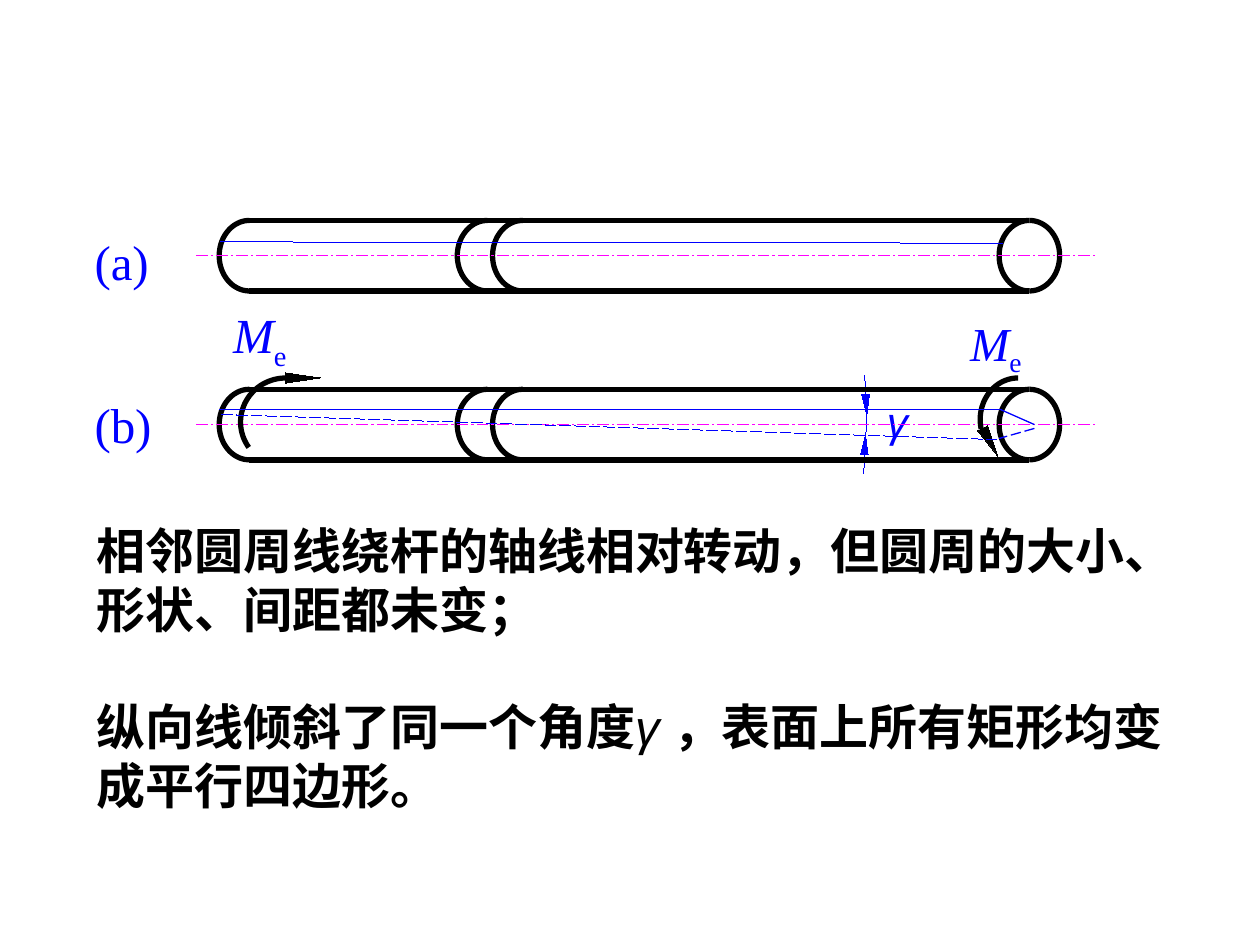
import math
from dataclasses import dataclass

import pptx
import pptx.dml.color
import pptx.enum.dml
import pptx.enum.shapes
import pptx.enum.text
import pptx.oxml
import pptx.oxml.ns
import pptx.util
from pptx.util import Inches


@dataclass(frozen=True)
class Theme:
    ink: str = "000000"
    blue: str = "0000FF"
    axis: str = "FF00FF"
    chinese: str = "Noto Sans CJK SC"
    greek: str = "Arial"
    latin: str = "Times New Roman"
    text_size: float = 28
    right_moment_size: float = 27
    angle_size: float = 24
    line_pitch: float = 33.65
    outline: float = 3
    thin: float = 0.75
    hairline: float = 0


THEME = Theme()
DASH = pptx.enum.dml.MSO_LINE.LONG_DASH
DASH_DOT = pptx.enum.dml.MSO_LINE.LONG_DASH_DOT

# Bar geometry, in inches
BAR_LEFT, BAR_RIGHT = 1.98, 8.17
RINGS = (BAR_LEFT, 3.87, 4.15, BAR_RIGHT)
RADIUS_X, RADIUS_Y = 0.24, 0.28


def rgb(color):
    return pptx.dml.color.RGBColor.from_string(color)


def style_line(shape, color, width, dash=None):
    # Without the theme style, a zero width stays a hairline
    shape._element.remove(shape._element.find(pptx.oxml.ns.qn("p:style")))
    shape.line.color.rgb = rgb(color)
    shape.line.width = pptx.util.Pt(width)
    if dash is not None:
        shape.line.dash_style = dash


def add_line(slide, start, end, color, width, dash=None):
    ends = [Inches(value) for value in (*start, *end)]
    segment = slide.shapes.add_connector(
        pptx.enum.shapes.MSO_CONNECTOR.STRAIGHT, *ends)
    style_line(segment, color, width, dash)
    segment._element.spPr.append(pptx.oxml.parse_xml(
        f"<a:effectLst {pptx.oxml.ns.nsdecls('a')}/>"))


def add_outline(slide, points, color, width, filled=False):
    first, *rest = [(Inches(x), Inches(y)) for x, y in points]
    builder = slide.shapes.build_freeform(*first, scale=1.0)
    builder.add_line_segments(rest, close=filled)
    outline = builder.convert_to_shape()
    outline.shadow.inherit = False
    if filled:
        outline.fill.solid()
        outline.fill.fore_color.rgb = rgb(color)
    else:
        outline.fill.background()
    style_line(outline, color, width)


def add_arc(slide, center, radii, start, end, steps=40):
    """Draw an elliptical arc; degrees run counter-clockwise from the right."""
    angles = [math.radians(start + (end - start) * i / steps)
              for i in range(steps + 1)]
    points = [(center[0] + radii[0] * math.cos(angle),
               center[1] - radii[1] * math.sin(angle)) for angle in angles]
    add_outline(slide, points, THEME.ink, THEME.outline)


def set_font(font, name, size, color):
    font.name = name
    font.size = pptx.util.Pt(size)
    font.color.rgb = rgb(color)


def add_text_frame(slide, left, top, width, height, margin=0, wrap=False):
    box = slide.shapes.add_textbox(*map(Inches, (left, top, width, height)))
    frame = box.text_frame
    frame.word_wrap = wrap
    frame.auto_size = pptx.enum.text.MSO_AUTO_SIZE.SHAPE_TO_FIT_TEXT
    frame.margin_left = frame.margin_right = Inches(margin)
    frame.margin_top = frame.margin_bottom = Inches(margin / 2)
    return box, frame


def add_label(slide, text, top):
    _, frame = add_text_frame(slide, 0.75, top, 0.48, 0.47)
    label = frame.paragraphs[0]
    label.add_run().text = text
    set_font(label.font, THEME.latin, THEME.text_size, THEME.blue)


def add_moment(slide, left, top, width, height, size):
    _, frame = add_text_frame(slide, left, top, width, height)
    moment = frame.paragraphs[0]
    symbol, subscript = moment.add_run(), moment.add_run()
    symbol.text, subscript.text = "M", "e"
    symbol.font.italic = True
    subscript._r.get_or_add_rPr().set("baseline", "-25000")
    set_font(moment.font, THEME.latin, size, THEME.blue)


def add_bar(slide, top):
    middle, bottom = top + RADIUS_Y, top + 2 * RADIUS_Y
    for ring in RINGS:
        add_arc(slide, (ring, middle), (RADIUS_X, RADIUS_Y), 90, 270)
    add_arc(slide, (BAR_RIGHT, middle), (RADIUS_X, RADIUS_Y), -90, 90)
    for edge in (top, bottom):
        add_line(slide, (BAR_LEFT, edge), (BAR_RIGHT, edge),
                 THEME.ink, THEME.outline)
    add_line(slide, (1.56, middle), (8.7, middle),
             THEME.axis, THEME.hairline, DASH_DOT)


def add_conclusions(slide):
    _, frame = add_text_frame(slide, 0.67, 4.08, 9, 2.44, 0.1, wrap=True)
    conclusions = (
        ("相邻圆周线绕杆的轴线相对转动，但圆周的大小、形状、间距都未变；",),
        ("纵向线倾斜了同一个角度", "γ ", "，表面上所有矩形均变成平行四边形。"),
    )
    for index, parts in enumerate(conclusions):
        conclusion = frame.paragraphs[0] if index == 0 else frame.add_paragraph()
        conclusion.line_spacing = pptx.util.Pt(THEME.line_pitch)
        if index:
            conclusion.space_before = pptx.util.Pt(THEME.line_pitch)
        for part in parts:
            run = conclusion.add_run()
            run.text = part
            if part.startswith("γ"):
                run.font.name = THEME.greek
                run.font.bold, run.font.italic = False, True
        set_font(conclusion.font, THEME.chinese, THEME.text_size, THEME.ink)
        conclusion.font.bold = True
        # East Asian glyphs take their own typeface
        defaults = conclusion._p.pPr.find(pptx.oxml.ns.qn("a:defRPr"))
        defaults.append(pptx.oxml.parse_xml(
            f'<a:ea {pptx.oxml.ns.nsdecls("a")} typeface="{THEME.chinese}"/>'))


def add_angle_mark(slide):
    stems = (
        ((6.85, 3.76), (6.86, 3.69), (6.86, 3.61)),
        ((6.87, 3.13), (6.87, 3.05), (6.86, 2.98)),
        ((6.87, 3.45), (6.88, 3.37), (6.88, 3.29)),
    )
    heads = (
        ((6.83, 3.61), (6.89, 3.61), (6.87, 3.45)),
        ((6.9, 3.13), (6.84, 3.13), (6.88, 3.29)),
    )
    for stem in stems:
        add_outline(slide, stem, THEME.blue, THEME.hairline)
    for head in heads:
        add_outline(slide, head, THEME.blue, THEME.hairline, filled=True)
    box, frame = add_text_frame(slide, 7.04, 3.14, 0.4, 0.4, wrap=True)
    box.rotation = 1
    gamma = frame.paragraphs[0]
    gamma.add_run().text = "γ"
    set_font(gamma.font, THEME.greek, THEME.angle_size, THEME.blue)
    gamma.font.italic = True


def add_twist(slide):
    # Turning arrows at both ends
    add_arc(slide, (2.27, 3.35), (0.36, 0.35), 90, 215)
    add_arc(slide, (8.08, 3.33), (0.3, 0.33), 90, 193)
    for head in (((2.27, 3.04), (2.27, 2.96), (2.54, 3)),
                 ((7.84, 3.38), (7.76, 3.42), (7.92, 3.62))):
        add_outline(slide, head, THEME.ink, THEME.hairline, filled=True)
    # Longitudinal line before and after twisting
    add_line(slide, (1.74, 3.25), (7.95, 3.25), THEME.blue, THEME.hairline)
    add_line(slide, (7.94, 3.25), (8.21, 3.37), THEME.blue, THEME.thin)
    add_line(slide, (1.76, 3.29), (7.94, 3.49), THEME.blue, THEME.hairline, DASH)
    add_line(slide, (8.21, 3.4), (7.93, 3.48), THEME.blue, THEME.thin, DASH)


def main():
    deck = pptx.Presentation()
    deck.slide_width, deck.slide_height = Inches(10), Inches(7.5)
    slide = deck.slides.add_slide(deck.slide_layouts[6])

    add_conclusions(slide)
    add_angle_mark(slide)

    # (a) Bar before twisting
    add_label(slide, "(a)", 1.84)
    add_bar(slide, 1.75)
    add_line(slide, (1.75, 1.92), (7.96, 1.93), THEME.blue, THEME.hairline)

    # (b) Bar under end moments
    add_moment(slide, 7.7, 2.49, 0.5, 0.51, THEME.right_moment_size)
    add_moment(slide, 1.85, 2.42, 0.52, 0.53, THEME.text_size)
    add_label(slide, "(b)", 3.13)
    add_bar(slide, 3.09)
    add_twist(slide)

    deck.save("out.pptx")


if __name__ == "__main__":
    main()
